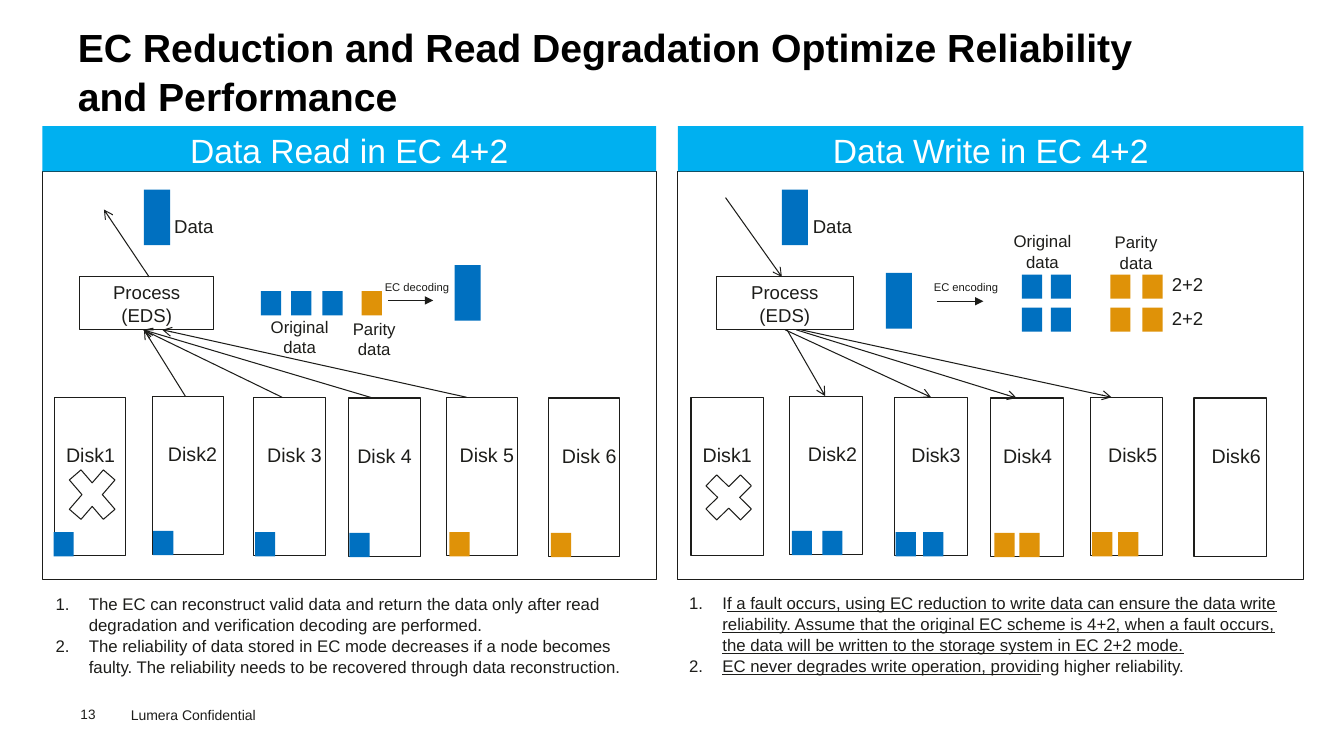
from lxml import etree
from pptx import Presentation
from pptx import util as u
from pptx.dml.color import RGBColor
from pptx.enum import shapes, text
from pptx.oxml.ns import qn

INK, BLUE, ORANGE, CYAN, WHITE = "1D1D1A", "0070C0", "DF9208", "00B0F0", "FFFFFF"
CENTER, LEFT = text.PP_ALIGN.CENTER, text.PP_ALIGN.LEFT
MIDDLE, TOP = text.MSO_ANCHOR.MIDDLE, text.MSO_ANCHOR.TOP
WIDE_INSETS = (0.33, 0.18, 0.33, 0.18)
TALL_BLOCK, SMALL_BLOCK = (0.66, 1.4), (0.51, 0.61)

# All positions and sizes are centimetres.
# Disks: name, left, top, label left, block colour, block lefts
READ = {
    "title": "Data Read in EC 4+2", "left": 1.07, "width": 15.47,
    "process": ("Process\n(EDS)", 2.01, 3.38),
    "disk_width": 1.8,
    "disks": [
        ("Disk1", 1.37, 10.01, 1.37, BLUE, [1.35]),
        ("Disk2", 3.84, 9.98, 3.94, BLUE, [3.86]),
        ("Disk 3", 6.4, 10.01, 6.51, BLUE, [6.43]),
        ("Disk 4", 8.79, 10.03, 8.78, BLUE, [8.81]),
        ("Disk 5", 11.25, 10.01, 11.36, ORANGE, [11.33]),
        ("Disk 6", 13.82, 10.03, 13.94, ORANGE, [13.89]),
    ],
    "cross": (1.5, 11.51, 1.65, 1.91),
    "data_blocks": [(3.63, 4.78), (11.46, 6.68)],
    "fragments": [(BLUE, [6.58, 7.34, 8.13], [7.34]), (ORANGE, [9.12], [7.34])],
    "arrows": [
        (3.76, 6.98, 2.62, 5.28), (4.67, 9.98, 3.63, 8.31), (7.11, 10.01, 3.61, 8.31),
        (9.4, 10.03, 3.61, 8.31), (11.76, 10.01, 4.09, 8.31),
    ],
    "coding_arrow": (9.78, 7.57, 10.92, 7.57),
    # Labels: text, box, size, alignment, wrap
    "labels": [
        ("Data", (4.14, 5.26, 1.52, 0.84), 13.3, LEFT, False),
        ("EC decoding", (9.45, 6.91, 2.16, 0.61), 8, LEFT, False),
        ("Original data", (6.3, 7.82, 2.51, 0.76), 12, CENTER, True),
        ("Parity data", (8.33, 7.87, 2.21, 0.76), 12, CENTER, True),
    ],
}
WRITE = {
    "title": "Data Write in EC 4+2", "left": 17.09, "width": 15.77,
    "process": ("Process (EDS)", 18.06, 3.45),
    "disk_width": 1.83,
    "disks": [
        ("Disk1", 17.42, 10.01, 17.42, BLUE, []),
        ("Disk2", 19.91, 9.98, 20.07, BLUE, [19.96, 20.73]),
        ("Disk3", 22.56, 10.01, 22.68, BLUE, [22.58, 23.27]),
        ("Disk4", 24.97, 10.03, 24.99, ORANGE, [25.07, 25.7]),
        ("Disk5", 27.48, 10.01, 27.64, ORANGE, [27.53, 28.19]),
        ("Disk6", 30.1, 10.03, 30.25, ORANGE, []),
    ],
    "cross": (17.53, 11.71, 1.68, 1.65),
    "data_blocks": [(19.71, 4.78), (22.33, 6.88)],
    "fragments": [(BLUE, [25.76, 26.49], [6.92, 7.75]), (ORANGE, [27.99, 28.8], [6.92, 7.75])],
    "arrows": [
        (18.29, 4.98, 19.71, 6.98), (19.84, 8.31, 20.8, 9.98), (19.79, 8.31, 23.47, 10.01),
        (20.07, 8.31, 25.63, 10.03), (20.19, 8.31, 28.02, 10.01),
    ],
    "coding_arrow": (23.62, 7.59, 24.79, 7.59),
    "labels": [
        ("Data", (20.24, 5.26, 1.52, 0.84), 13.3, LEFT, False),
        ("EC encoding", (23.29, 6.93, 2.16, 0.61), 8, LEFT, False),
        ("Original data", (24.92, 5.66, 2.72, 0.76), 12, CENTER, True),
        ("Parity data", (27.46, 5.69, 2.36, 0.76), 12, CENTER, True),
        ("2+2", (29.29, 6.73, 1.32, 0.84), 13.3, LEFT, False),
        ("2+2", (29.29, 7.59, 1.32, 0.84), 13.3, LEFT, False),
    ],
}
# List items: runs of text with their underline
READ_NOTES = [
    [("The EC can reconstruct valid data and return the data only after read degradation "
      "and verification decoding are performed.", False)],
    [("The reliability of data stored in EC mode decreases if a node becomes faulty. "
      "The reliability needs to be recovered through data reconstruction.", False)],
]
WRITE_NOTES = [
    [("I", False),
     ("f a fault occurs, using EC reduction to write data can ensure the data write "
      "reliability. Assume that the original EC scheme is 4+2, when a fault occurs, "
      "the data will be written to the storage system in EC 2+2 mode.", True)],
    [("EC never degrades write operation, providi", True), ("ng higher reliability.", False)],
]


def color(value):
    return RGBColor.from_string(value)


def set_attributes(target, values):
    for name, value in values.items():
        setattr(target, name, value)


def place(shape, box):
    set_attributes(shape, dict(zip(("left", "top", "width", "height"), map(u.Cm, box))))


def format_frame(frame, anchor=TOP, insets=(0.25, 0.13, 0.25, 0.13), wrap=True):
    margins = ("margin_left", "margin_top", "margin_right", "margin_bottom")
    set_attributes(frame, {"auto_size": text.MSO_AUTO_SIZE.NONE, "word_wrap": wrap,
                           "vertical_anchor": anchor, **dict(zip(margins, map(u.Cm, insets)))})


def format_paragraph(paragraph, size, ink=INK, align=LEFT, bold=False):
    set_attributes(paragraph, {"alignment": align, "line_spacing": 1.04, "space_before": u.Pt(0)})
    for run in paragraph.runs:
        set_attributes(run.font, {"name": "Arial", "size": u.Pt(size), "bold": bold})
        run.font.color.rgb = color(ink)


def write(shape, words, size, ink=INK, align=LEFT, bold=False, **frame_format):
    format_frame(shape.text_frame, **frame_format)
    shape.text_frame.text = words
    for paragraph in shape.text_frame.paragraphs:
        format_paragraph(paragraph, size, ink, align, bold)


def add_label(slide, words, box, size, align=LEFT, wrap=False, ink=INK, **frame_format):
    label = slide.shapes.add_textbox(*map(u.Cm, box))
    write(label, words, size, ink, align, wrap=wrap, **frame_format)


def add_block(slide, box, fill=None, line=None, kind=shapes.MSO_SHAPE.RECTANGLE):
    shape = slide.shapes.add_shape(kind, *map(u.Cm, box))
    shape.shadow.inherit = False
    if fill:
        shape.fill.solid()
        shape.fill.fore_color.rgb = color(fill)
    else:
        shape.fill.background()
    if line:
        shape.line.color.rgb = color(line)
        shape.line.width = u.Pt(0.75)
    else:
        shape.line.fill.background()
    return shape


def add_arrow(slide, points, head="arrow"):
    arrow = slide.shapes.add_connector(shapes.MSO_CONNECTOR.STRAIGHT, *map(u.Cm, points))
    arrow.line.color.rgb = color(INK)
    arrow.line.width = u.Pt(0.75)
    etree.SubElement(arrow.line._get_or_add_ln(), qn("a:tailEnd"), type=head)
    etree.SubElement(arrow._element.spPr, qn("a:effectLst"))


def fill_list(placeholder, box, items, anchor):
    place(placeholder, box)
    frame = placeholder.text_frame
    format_frame(frame, anchor, WIDE_INSETS)
    for index, item in enumerate(items):
        paragraph = frame.add_paragraph() if index else frame.paragraphs[0]
        properties = paragraph._p.get_or_add_pPr()
        properties.set("marL", str(u.Cm(0.84)))
        properties.set("indent", str(u.Cm(-0.84)))
        etree.SubElement(properties, qn("a:buFont"), typeface="Arial")
        etree.SubElement(properties, qn("a:buAutoNum"), type="arabicPeriod")
        for words, underline in item:
            run = paragraph.add_run()
            run.text = words
            run.font.underline = underline
        format_paragraph(paragraph, 12)


def add_panel(slide, panel):
    # Frame, header and process
    left, width = panel["left"], panel["width"]
    add_block(slide, (left, 4.32, width, 10.29), line=INK)
    header = add_block(slide, (left, 3.18, width, 1.14), CYAN)
    write(header, panel["title"], 24, WHITE, CENTER, anchor=MIDDLE)
    words, process_left, process_width = panel["process"]
    process = add_block(slide, (process_left, 6.98, process_width, 1.32), line=INK)
    write(process, words, 13.3, align=CENTER, anchor=MIDDLE, insets=WIDE_INSETS)

    # Disks with their stored blocks
    for name, x, y, label_left, fill, block_lefts in panel["disks"]:
        add_block(slide, (x, y, panel["disk_width"], 3.99), line=INK)
        add_label(slide, name, (label_left, y + 1, 1.83, 0.86), 14, CENTER)
        for block_left in block_lefts:
            add_block(slide, (block_left, y + 3.4, *SMALL_BLOCK), fill)
    add_block(slide, panel["cross"], WHITE, INK, shapes.MSO_SHAPE.MATH_MULTIPLY)

    # Data and its fragments
    for position in panel["data_blocks"]:
        add_block(slide, (*position, *TALL_BLOCK), BLUE)
    for fill, columns, rows in panel["fragments"]:
        for y in rows:
            for x in columns:
                add_block(slide, (x, y, *SMALL_BLOCK), fill)

    # Arrows and labels
    for points in panel["arrows"]:
        add_arrow(slide, points)
    add_arrow(slide, panel["coding_arrow"], "triangle")
    for label in panel["labels"]:
        add_label(slide, *label)


def main():
    presentation = Presentation()
    presentation.slide_width, presentation.slide_height = u.Cm(33.88), u.Cm(19.05)
    slide = presentation.slides.add_slide(presentation.slide_layouts.get_by_name("Two Content"))

    # Title and lists
    title, read_list, write_list = slide.placeholders
    place(title, (1.96, 0.42, 28.35, 1.35))
    write(title, "EC Reduction and Read Degradation Optimize Reliability and Performance",
          28, "000000", bold=True, insets=(0, 0.13, 0.25, 0.13))
    fill_list(read_list, (1.07, 14.76, 15.47, 2.29), READ_NOTES, TOP)
    fill_list(write_list, (17.04, 14.83, 15.85, 2.29), WRITE_NOTES, MIDDLE)

    # Diagrams
    for panel in (READ, WRITE):
        add_panel(slide, panel)

    # Footer
    add_label(slide, "Lumera Confidential", (3.05, 17.65, 4.06, 0.69), 10, ink="1D1D1B")
    add_label(slide, "13", (2.03, 17.78, 1.4, 0.41), 9.7, ink="1D1D1B", insets=(0, 0, 0, 0))
    presentation.save("out.pptx")


if __name__ == "__main__":
    main()
